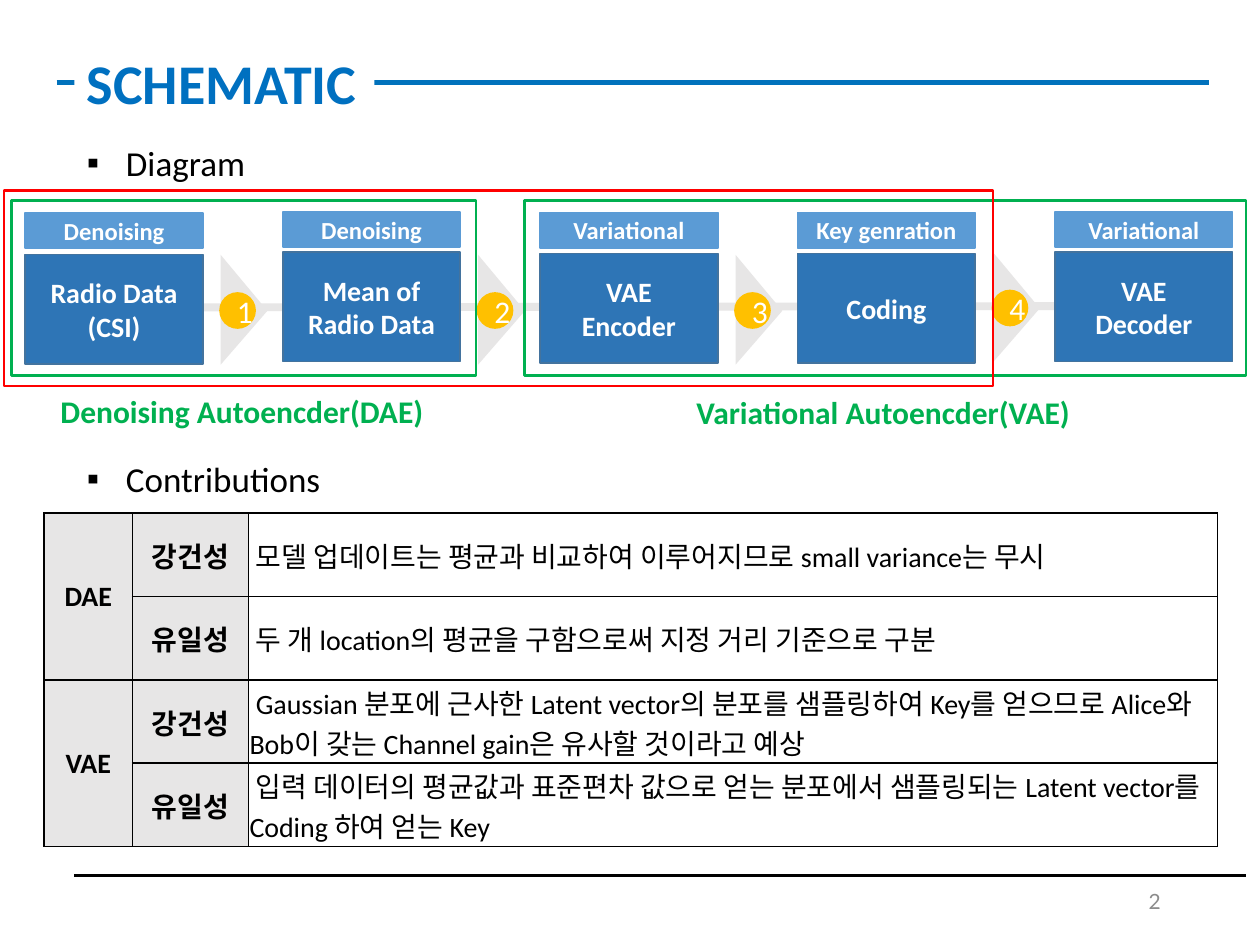
from lxml import etree
from pptx import Presentation
from pptx.dml import color as dml
from pptx.enum import shapes, text
from pptx.oxml import ns
from pptx.util import Cm, Pt

BLUE, GREEN, GRAY = "0070C0", "00B050", "E7E6E6"
PITCH = 5.19
STAGES = [
    ("Denoising", "Radio Data\n(CSI)", 0.05),
    ("Denoising", "Mean of\nRadio Data", 0),
    ("Variational", "VAE\nEncoder", 0.03),
    ("Key genration", "Coding", 0.03),
    ("Variational", "VAE\nDecoder", 0),
]
CONTRIBUTIONS = [
    ("DAE", "강건성", " 모델 업데이트는 평균과 비교하여 이루어지므로 small variance는 무시"),
    ("", "유일성", " 두 개 location의 평균을 구함으로써 지정 거리 기준으로 구분"),
    ("VAE", "강건성", " Gaussian 분포에 근사한 Latent vector의 분포를 샘플링하여 Key를 얻으므로 "
     "Alice와 Bob이 갖는 Channel gain은 유사할 것이라고 예상"),
    ("", "유일성", " 입력 데이터의 평균값과 표준편차 값으로 얻는 분포에서 샘플링되는 "
     "Latent vector를 Coding 하여 얻는 Key"),
]


def rgb(value):
    return dml.RGBColor.from_string(value)


def write(frame, content, size=16, color="000000", bold=False, font="Calibri",
          align="LEFT", anchor="MIDDLE", wrap=True):
    frame.word_wrap = wrap
    frame.vertical_anchor = text.MSO_ANCHOR[anchor]
    for index, line in enumerate(content.split("\n")):
        paragraph = frame.add_paragraph() if index else frame.paragraphs[0]
        paragraph.alignment = text.PP_ALIGN[align]
        run = paragraph.add_run()
        run.text = line
        run.font.name = font
        run.font.size = Pt(size)
        run.font.bold = bold
        run.font.color.rgb = rgb(color)


def add_label(slide, left, top, width, height, content, **style):
    label = slide.shapes.add_textbox(Cm(left), Cm(top), Cm(width), Cm(height))
    write(label.text_frame, content, **style)
    return label


def add_form(slide, kind, left, top, width, height, fill=None, line=None, weight=1):
    form = slide.shapes.add_shape(shapes.MSO_SHAPE[kind], Cm(left), Cm(top),
                                  Cm(width), Cm(height))
    form.shadow.inherit = False
    if fill:
        form.fill.solid()
        form.fill.fore_color.rgb = rgb(fill)
    else:
        form.fill.background()
    if line:
        form.line.color.rgb = rgb(line)
        form.line.width = Pt(weight)
    else:
        form.line.fill.background()
    return form


def add_rule(slide, x1, y1, x2, y2, color, weight):
    rule = slide.shapes.add_connector(shapes.MSO_CONNECTOR.STRAIGHT,
                                      Cm(x1), Cm(y1), Cm(x2), Cm(y2))
    rule.line.color.rgb = rgb(color)
    rule.line.width = Pt(weight)
    etree.SubElement(rule._element.spPr, ns.qn("a:effectLst"))


def add_title(slide, left, top, width, height):
    middle = top + height / 2
    add_rule(slide, left, middle, left + width, middle, "0172BC", 3)
    title = add_form(slide, "RECTANGLE", left + 0.36, top, 6.05, height, "FFFFFF")
    write(title.text_frame, "SCHEMATIC", size=32, color=BLUE, bold=True)


def add_heading(slide, left, top, width, height, content):
    heading = add_label(slide, left, top, width, height, content, size=20, anchor="TOP")
    properties = heading.text_frame.paragraphs[0]._p.get_or_add_pPr()
    properties.set("marL", str(Cm(0.79)))
    properties.set("indent", str(Cm(-0.79)))
    etree.SubElement(properties, ns.qn("a:buFont"), typeface="Arial")
    etree.SubElement(properties, ns.qn("a:buChar"), char="▪")


def add_stage(slide, left, top, width, name, content, drop):
    header = add_form(slide, "RECTANGLE", left, top + drop / 2, width, 0.71,
                      "5B9BD5", "5B9BD5")
    write(header.text_frame, name, size=14, color="FFFFFF", bold=True, align="CENTER")
    body = add_form(slide, "RECTANGLE", left, top + 0.81 + drop, width, 2.21,
                    "2E75B6", "43739E")
    write(body.text_frame, content, color="FFFFFF", bold=True, align="CENTER")


def add_step(slide, left, top, width, height, number):
    arrow = add_form(slide, "ISOSCELES_TRIANGLE", left + (width - height) / 2,
                     top + (height - width) / 2, height, width, GRAY)
    arrow.rotation = 90
    arrow.adjustments[0] = 0.51
    badge = add_form(slide, "OVAL", left - 0.03, top + 0.75, 0.74, 0.74, "FFC000")
    write(badge.text_frame, str(number), size=18, color="FFFFFF", align="CENTER")


def add_diagram(slide, left, top, width, height):
    add_rule(slide, left + 1.29, top + 2.16, left + 21.44, top + 2.13, GRAY, 4.5)
    for number in range(1, len(STAGES)):
        rise = 0.05 if number == 4 else 0
        add_step(slide, left + 4.22 + PITCH * (number - 1), top + 1.1 - rise,
                 0.94, 2.21, number)
    for index, stage in enumerate(STAGES):
        add_stage(slide, left + 0.28 + PITCH * index, top + 0.23, 3.58, *stage)
    for start, span in ((0, 9.37), (10.34, width - 10.34)):
        add_form(slide, "RECTANGLE", left + start, top, span, height, line=GREEN, weight=1.5)
    for start, drop, span, name in ((0.74, 0.2, 7.87, "Denoising Autoencder(DAE)"),
                                    (13.56, 0.23, 8.1, "Variational Autoencder(VAE)")):
        add_label(slide, left + start, top + height + drop, span, 1.02, name,
                  size=18, color=GREEN, bold=True, anchor="TOP", wrap=False)
    add_form(slide, "RECTANGLE", left - 0.15, top - 0.2, 19.94, height + 0.41,
             line="FF0000", weight=1.5)


def add_borders(cell):
    properties = cell._tc.get_or_add_tcPr()
    for side in ("lnL", "lnR", "lnT", "lnB"):
        border = etree.SubElement(properties, ns.qn(f"a:{side}"), w=str(Pt(1)))
        fill = etree.SubElement(border, ns.qn("a:solidFill"))
        etree.SubElement(fill, ns.qn("a:srgbClr"), val="000000")


def add_contributions(slide, left, top, width, height):
    table = slide.shapes.add_table(len(CONTRIBUTIONS), 3, Cm(left), Cm(top),
                                   Cm(width), Cm(height)).table
    for column, span in zip(table.columns, (1.78, 2.34, width - 4.12)):
        column.width = Cm(span)
    for row, entries in enumerate(CONTRIBUTIONS):
        table.rows[row].height = Cm(height / len(CONTRIBUTIONS))
        for column, entry in enumerate(entries):
            cell = table.cell(row, column)
            is_label = column < 2
            add_borders(cell)
            cell.fill.solid()
            cell.fill.fore_color.rgb = rgb(GRAY if is_label else "FFFFFF")
            cell.margin_left = cell.margin_top = Cm(0.02)
            cell.margin_right = Cm(0.02 if is_label else 0.25)
            cell.margin_bottom = 0
            cell.vertical_anchor = text.MSO_ANCHOR.MIDDLE
            if entry:
                write(cell.text_frame, entry, bold=is_label,
                      align="CENTER" if is_label else "LEFT")
    for row in (0, 2):
        table.cell(row, 0).merge(table.cell(row + 1, 0))


def add_footer(slide, left, top, width, height):
    add_rule(slide, left, top, left + width, top, "000000", 1.5)
    add_label(slide, left + 16.43, top, 5.72, height, "2", size=12, color="8C8C8C",
              font="Lato", align="RIGHT")


def main():
    deck = Presentation()
    deck.slide_width, deck.slide_height = Cm(25.4), Cm(19.05)
    slide = deck.slides.add_slide(deck.slide_layouts[6])
    add_footer(slide, 1.5, 17.65, 23.62, 1.02)
    add_title(slide, 1.14, 0.85, 23.24, 1.63)
    add_heading(slide, 1.5, 2.72, 21.34, 1.11, "Diagram")
    add_heading(slide, 1.5, 9.09, 21.34, 1.11, "Contributions")
    add_diagram(slide, 0.23, 4.04, 24.89, 3.53)
    add_contributions(slide, 0.89, 10.34, 23.65, 6.73)
    deck.save("out.pptx")


if __name__ == "__main__":
    main()
